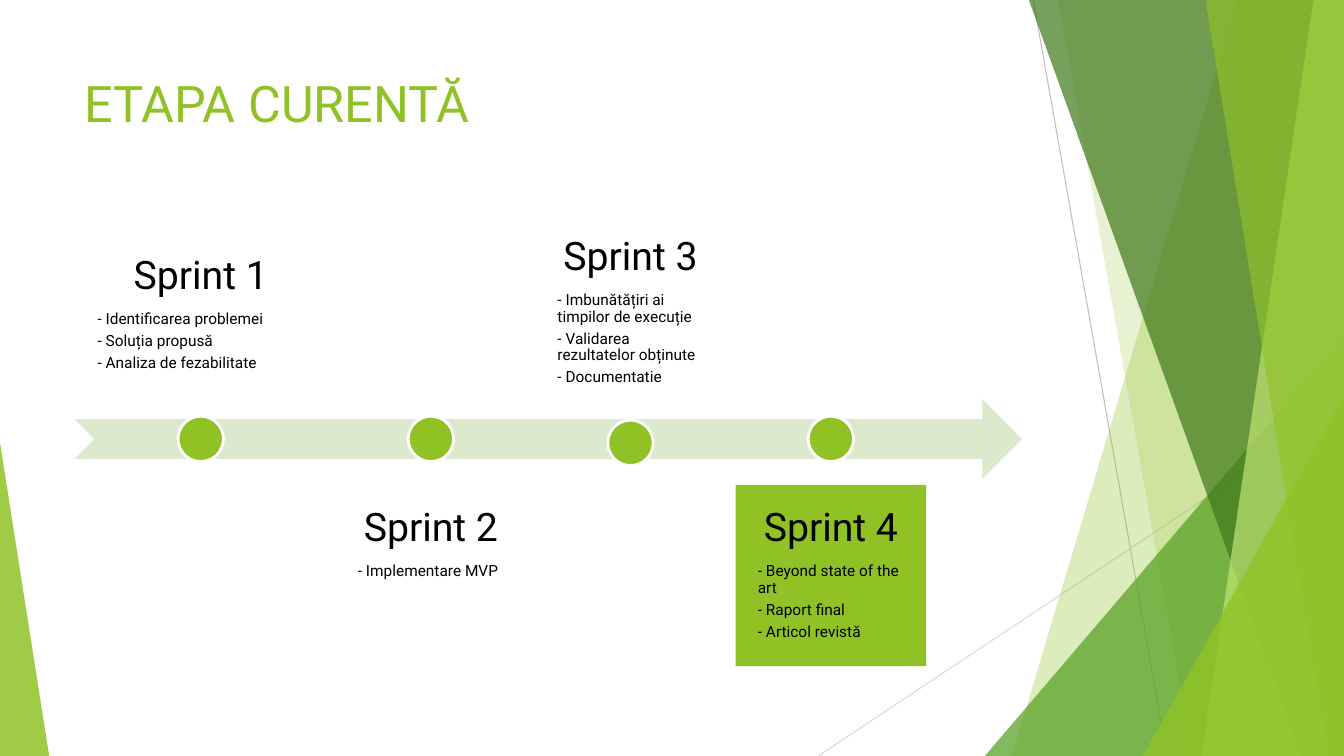
from lxml import etree
from pptx import Presentation
from pptx import util as u
from pptx.dml.color import RGBColor
from pptx.enum import shapes, text
from pptx.oxml.ns import qn

WIDTH, HEIGHT = 33.87, 19.05
FONT = "Roboto"
GREEN, WHITE, BLACK = "90C226", "FFFFFF", "000000"
DOT_SIZE = 1.14
SPRINT_INSET = 0.56

# Name, left, top, width, height, fill, dot top, sits above the arrow, tasks
SPRINTS = [
    ("Sprint 1", 1.9, 5.36, 6.32, 4.57, WHITE, 10.49, True,
     ["Identificarea problemei", "Soluția propusă", "Analiza de fezabilitate"]),
    ("Sprint 2", 8.46, 12.22, 4.8, 4.57, None, 10.49, False,
     ["Implementare MVP"]),
    ("Sprint 3", 13.49, 5.36, 4.8, 4.93, None, 10.59, True,
     ["Imbunătățiri ai timpilor de execuție",
      "Validarea rezultatelor obținute", "Documentatie"]),
    ("Sprint 4", 18.54, 12.22, 4.8, 4.57, GREEN, 10.49, False,
     ["Beyond state of the art", "Raport final", "Articol revistă"]),
]


def rgb(code):
    """Return the colour for a hex string."""
    return RGBColor.from_string(code)


def paint(shape, colour, opacity=100, outline=None):
    """Fill a shape, with an optional opacity in percent and outline colour."""
    shape.shadow.inherit = False
    shape.fill.solid()
    shape.fill.fore_color.rgb = rgb(colour)
    if opacity < 100:
        tint = shape.fill._xPr.find(".//" + qn("a:srgbClr"))
        etree.SubElement(tint, qn("a:alpha"), val=str(opacity * 1000))
    if outline:
        shape.line.color.rgb = rgb(outline)
        shape.line.width = u.Pt(2)
    else:
        shape.line.fill.background()


def add_preset(slide, kind, left, top, width, height):
    """Add a preset shape placed in centimetres."""
    return slide.shapes.add_shape(
        kind, u.Cm(left), u.Cm(top), u.Cm(width), u.Cm(height))


def add_thin_line(slide, start, end, colour):
    """Add a hairline between two points."""
    line = slide.shapes.add_connector(
        shapes.MSO_CONNECTOR.STRAIGHT,
        u.Cm(start[0]), u.Cm(start[1]), u.Cm(end[0]), u.Cm(end[1]))
    line.line.color.rgb = rgb(colour)
    line.line.width = u.Pt(0.75)
    etree.SubElement(line._element.spPr, qn("a:effectLst"))


def add_band(slide, top_x, bottom_x, colour, opacity):
    """Add a full-height band from a slanted edge to the right slide edge."""
    builder = slide.shapes.build_freeform(u.Cm(top_x), 0)
    corners = [(WIDTH, 0), (WIDTH, HEIGHT), (bottom_x, HEIGHT)]
    builder.add_line_segments([(u.Cm(x), u.Cm(y)) for x, y in corners])
    paint(builder.convert_to_shape(), colour, opacity)


def add_corner(slide, left, top, width, peak, colour, opacity):
    """Add a triangle standing on the bottom edge, its peak at 0 to 1."""
    triangle = add_preset(slide, shapes.MSO_SHAPE.ISOSCELES_TRIANGLE,
                          left, top, width, HEIGHT - top)
    triangle.adjustments[0] = peak
    paint(triangle, colour, opacity)


def add_backdrop(slide):
    """Draw the green facets at the slide edges."""
    add_thin_line(slide, (26.04, 0), (29.41, HEIGHT), "BFBFBF")
    add_thin_line(slide, (WIDTH, 10.24), (20.62, HEIGHT), "D9D9D9")
    add_band(slide, 31.19, 25.5, GREEN, 30)
    add_band(slide, 26.67, 30.05, GREEN, 20)
    add_corner(slide, 24.82, 8.46, 9.05, 1, "54A021", 72)
    add_band(slide, 25.93, 32.79, "3F7819", 70)
    add_band(slide, 33.1, 30.28, "C0E474", 70)
    add_band(slide, 30.38, 33.48, GREEN, 65)
    add_corner(slide, 28.8, 9.98, 5.07, 1, GREEN, 80)
    add_corner(slide, 0, 11.15, 1.24, 0, GREEN, 85)


def add_text(slide, left, top, width, height, lines):
    """Add a wrapping text box with one paragraph for each line."""
    box = slide.shapes.add_textbox(
        u.Cm(left), u.Cm(top), u.Cm(width), u.Cm(height))
    box.text_frame.word_wrap = True
    box.text_frame.text = "\n".join(lines)
    return box


def format_paragraph(paragraph, size, colour):
    """Set font, size and colour on the runs of a paragraph."""
    for run in paragraph.runs:
        run.font.name = FONT
        run.font.size = u.Pt(size)
        run.font.color.rgb = rgb(colour)


def add_sprint(slide, name, left, top, width, height, fill, dot_top, above, tasks):
    """Add a sprint's heading and tasks, and its dot on the arrow."""
    lines = [name] + [f"- {task}" for task in tasks]
    box = add_text(slide, left, top, width, height, lines)
    if fill:
        paint(box, fill)
    frame = box.text_frame
    frame.margin_left = frame.margin_right = u.Cm(SPRINT_INSET)
    frame.margin_top = frame.margin_bottom = u.Cm(SPRINT_INSET)
    anchor = text.MSO_ANCHOR
    frame.vertical_anchor = anchor.BOTTOM if above else anchor.TOP
    for index, paragraph in enumerate(frame.paragraphs):
        size = 11 if index else 28
        format_paragraph(paragraph, size, BLACK)
        paragraph.line_spacing = 0.9
        paragraph.space_after = u.Pt(size * 0.35)
    frame.paragraphs[0].alignment = text.PP_ALIGN.CENTER

    dot = add_preset(slide, shapes.MSO_SHAPE.OVAL,
                     left + (width - DOT_SIZE) / 2, dot_top, DOT_SIZE, DOT_SIZE)
    paint(dot, GREEN, outline=WHITE)


def main():
    """Build the sprint timeline slide."""
    presentation = Presentation()
    presentation.slide_width = u.Cm(WIDTH)
    presentation.slide_height = u.Cm(HEIGHT)
    slide = presentation.slides.add_slide(presentation.slide_layouts[6])

    add_backdrop(slide)
    title = add_text(slide, 1.88, 1.7, 23.88, 3.66, ["ETAPA CURENTĂ"])
    format_paragraph(title.text_frame.paragraphs[0], 36, GREEN)
    arrow = add_preset(slide, shapes.MSO_SHAPE.NOTCHED_RIGHT_ARROW,
                       1.88, 10.06, 23.88, 2.01)
    paint(arrow, "DBE9CD")
    for sprint in SPRINTS:
        add_sprint(slide, *sprint)

    presentation.save("out.pptx")


main()
